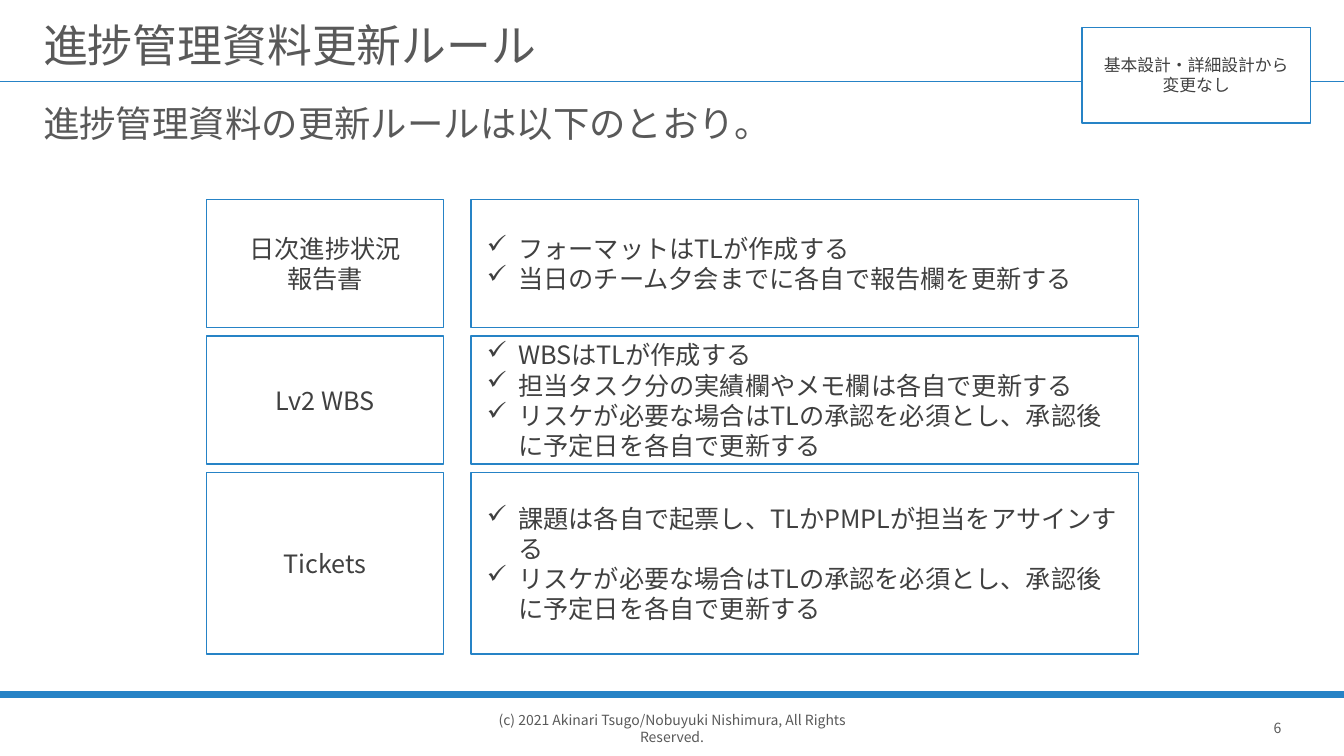
from lxml import etree
from pptx import Presentation
from pptx.dml.color import RGBColor
from pptx.enum.shapes import MSO_CONNECTOR, MSO_SHAPE
from pptx.enum.text import MSO_ANCHOR, PP_ALIGN
from pptx.oxml.ns import qn
from pptx.util import Inches, Pt

STRAIGHT = MSO_CONNECTOR.STRAIGHT
RECTANGLE = MSO_SHAPE.RECTANGLE
TOP, MIDDLE = MSO_ANCHOR.TOP, MSO_ANCHOR.MIDDLE
LEFT, CENTER = PP_ALIGN.LEFT, PP_ALIGN.CENTER

SLIDE_WIDTH, SLIDE_HEIGHT = 13.33, 7.5
FONT = "Noto Sans CJK JP"
COLORS = {"accent": "2683C6", "heading": "595959", "body": "404040", "box": "FFFFFF"}
DEFAULT_INSETS = (0.1, 0.05, 0.1, 0.05)
RULE_INSETS = (0.16, 0.08, 0.16, 0.08)
BULLET_INDENT = 0.31

LABEL_LEFT, LABEL_WIDTH = 2.05, 2.35
RULES_LEFT, RULES_WIDTH = 4.67, 6.62
ROWS_TOP, ROW_GAP = 1.98, 0.085
RESCHEDULE_RULE = "リスケが必要な場合はTLの承認を必須とし、承認後に予定日を各自で更新する"
ROWS = [
    ("日次進捗状況\n報告書", 1.27,
     ["フォーマットはTLが作成する", "当日のチーム夕会までに各自で報告欄を更新する"]),
    ("Lv2 WBS", 1.27,
     ["WBSはTLが作成する", "担当タスク分の実績欄やメモ欄は各自で更新する", RESCHEDULE_RULE]),
    ("Tickets", 1.8,
     ["課題は各自で起票し、TLかPMPLが担当をアサインする", RESCHEDULE_RULE]),
]


def color(name):
    return RGBColor.from_string(COLORS[name])


class SlideBuilder:
    def __init__(self, slide):
        self.slide = slide

    def line(self, top, weight):
        connector = self.slide.shapes.add_connector(
            STRAIGHT, 0, Inches(top), Inches(SLIDE_WIDTH), Inches(top))
        connector.line.color.rgb = color("accent")
        connector.line.width = Pt(weight)
        etree.SubElement(connector._element.spPr, qn("a:effectLst"))

    def text(self, bounds, text, size, align=LEFT, anchor=TOP, wrap=True,
             insets=DEFAULT_INSETS, spacing=None, before=None):
        shape = self.slide.shapes.add_textbox(*map(Inches, bounds))
        self.fill_frame(shape.text_frame, [text], size, "heading", align, anchor, insets)
        shape.text_frame.word_wrap = wrap
        paragraph = shape.text_frame.paragraphs[0]
        paragraph.line_spacing = spacing
        paragraph.space_before = before

    def box(self, bounds, texts, size=18, align=CENTER, insets=DEFAULT_INSETS, bullet=None):
        shape = self.slide.shapes.add_shape(RECTANGLE, *map(Inches, bounds))
        shape.shadow.inherit = False
        shape.fill.solid()
        shape.fill.fore_color.rgb = color("box")
        shape.line.color.rgb = color("accent")
        shape.line.width = Pt(1)
        self.fill_frame(shape.text_frame, texts, size, "body", align, MIDDLE, insets)
        if bullet:
            for paragraph in shape.text_frame.paragraphs:
                self.add_bullet(paragraph, bullet)

    def fill_frame(self, frame, texts, size, color_name, align, anchor, insets):
        frame.word_wrap = True
        frame.vertical_anchor = anchor
        (frame.margin_left, frame.margin_top,
         frame.margin_right, frame.margin_bottom) = map(Inches, insets)
        for index, text in enumerate(texts):
            paragraph = frame.add_paragraph() if index else frame.paragraphs[0]
            paragraph.text = text
            paragraph.alignment = align
            paragraph.font.name = FONT
            paragraph.font.size = Pt(size)
            paragraph.font.color.rgb = color(color_name)
            defaults = paragraph._p.pPr.find(qn("a:defRPr"))
            etree.SubElement(defaults, qn("a:ea"), typeface=FONT)

    def add_bullet(self, paragraph, character):
        properties = paragraph._p.pPr
        properties.set("marL", str(Inches(BULLET_INDENT)))
        properties.set("indent", str(-Inches(BULLET_INDENT)))
        bullet = etree.Element(qn("a:buChar"), char=character)
        properties.find(qn("a:defRPr")).addprevious(bullet)


def main():
    presentation = Presentation()
    presentation.slide_width = Inches(SLIDE_WIDTH)
    presentation.slide_height = Inches(SLIDE_HEIGHT)
    builder = SlideBuilder(presentation.slides.add_slide(presentation.slide_layouts[6]))

    builder.line(0.81, 1)
    builder.line(6.89, 4.5)
    builder.text((12.34, 6.95, 0.66, 0.55), "6", 10, CENTER, MIDDLE, wrap=False)
    builder.text((4.62, 6.95, 4.09, 0.55),
                 "(c) 2021 Akinari Tsugo/Nobuyuki Nishimura, All Rights Reserved.",
                 10, CENTER, MIDDLE, wrap=False)
    builder.text((0.33, 0.06, 12.67, 0.69), "進捗管理資料更新ルール", 32,
                 anchor=MIDDLE, insets=(0.1, 0.2, 0.1, 0.05), spacing=0.9)
    builder.text((0.33, 1, 12.67, 0.73), "進捗管理資料の更新ルールは以下のとおり。", 26,
                 spacing=0.9, before=Pt(10))

    top = ROWS_TOP
    for label, height, rules in ROWS:
        builder.box((RULES_LEFT, top, RULES_WIDTH, height), rules,
                    align=LEFT, insets=RULE_INSETS, bullet="✓")
        builder.box((LABEL_LEFT, top, LABEL_WIDTH, height), [label])
        top += height + ROW_GAP

    builder.box((10.73, 0.27, 2.27, 0.95), ["基本設計・詳細設計から\n変更なし"], size=12)
    presentation.save("out.pptx")


if __name__ == "__main__":
    main()
